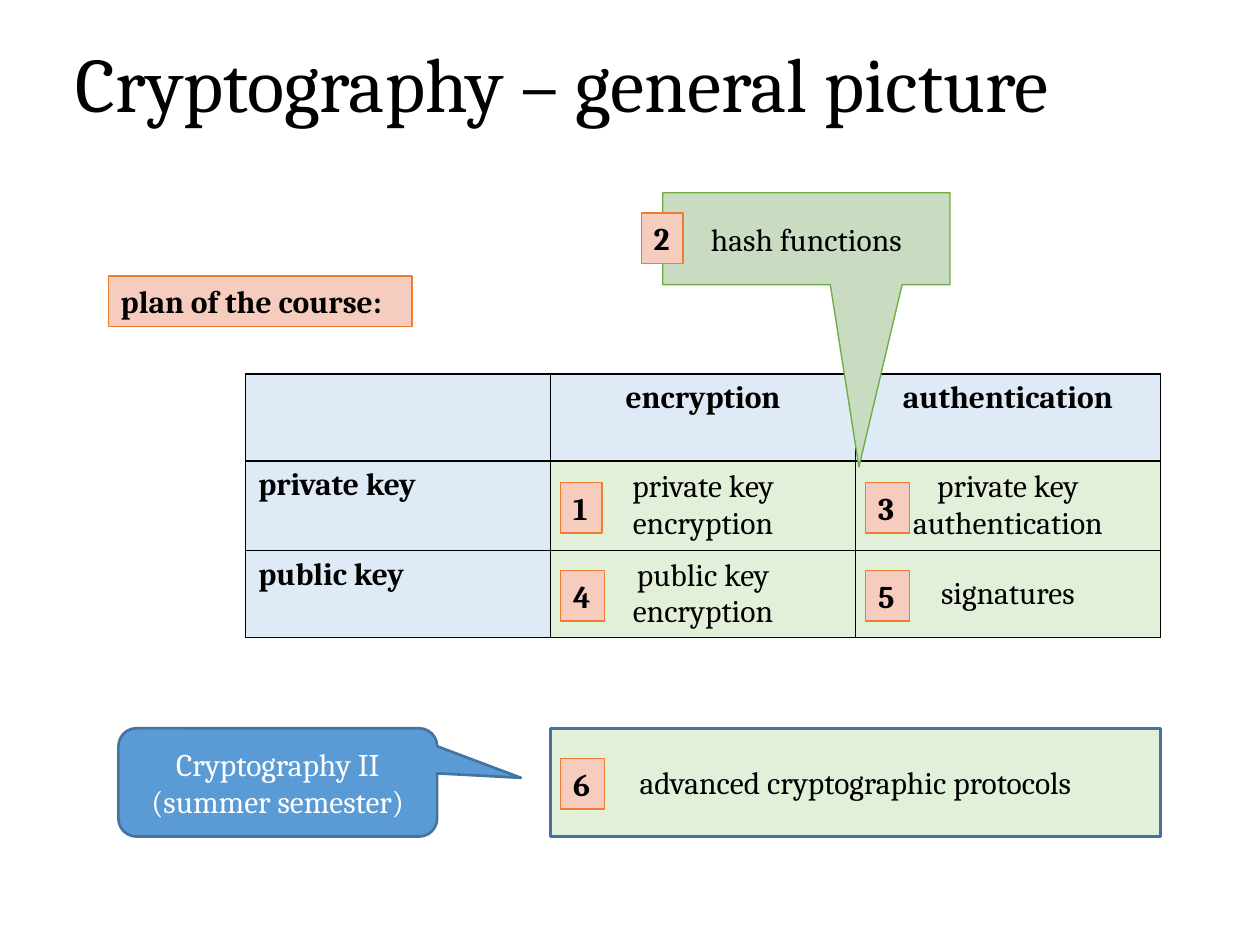
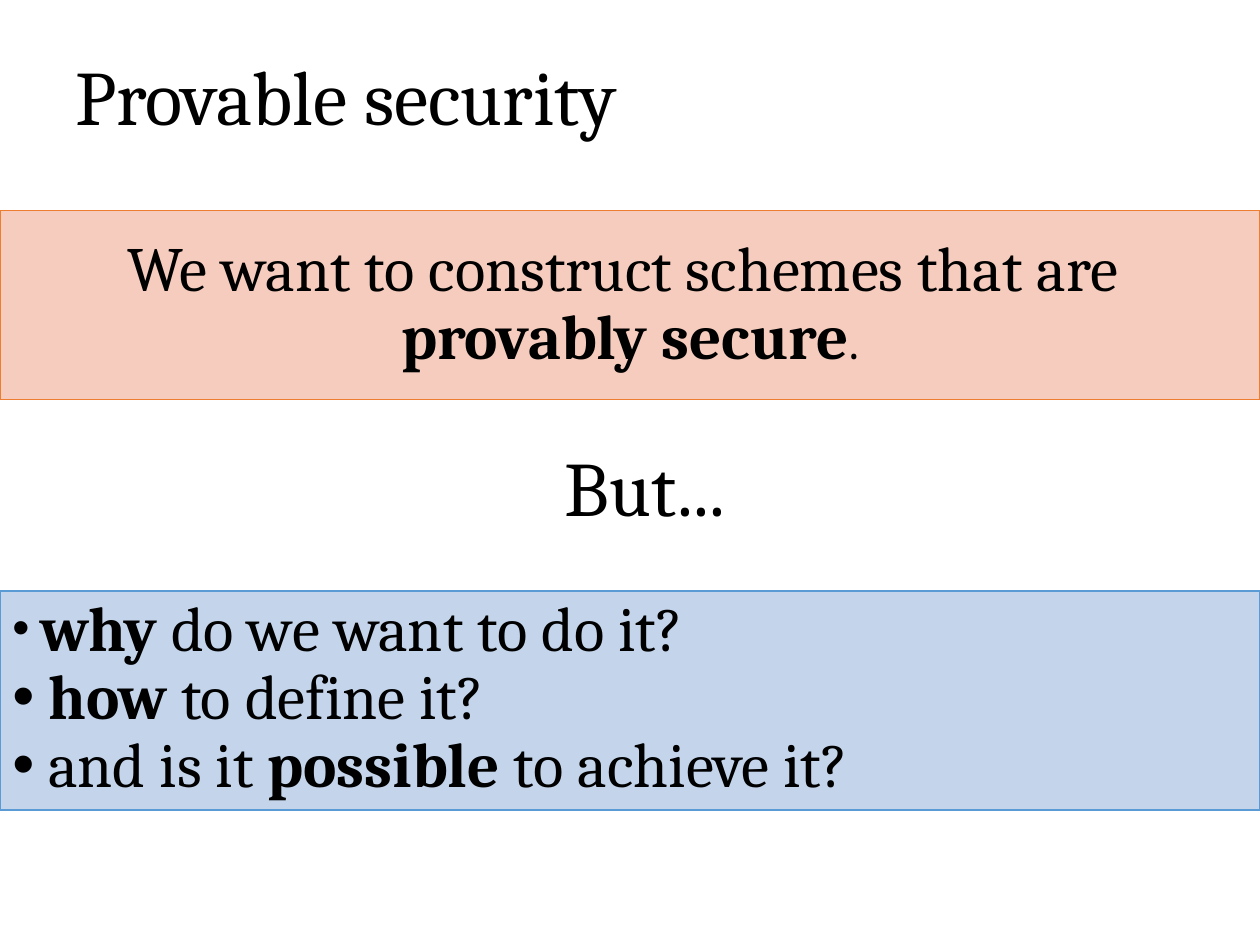
from pptx import Presentation
from pptx.dml.color import RGBColor
from pptx.enum.shapes import MSO_SHAPE
from pptx.enum.text import MSO_ANCHOR, MSO_AUTO_SIZE, PP_ALIGN
from pptx.oxml.ns import qn
from pptx.util import Inches, Pt
from lxml import etree

RECT = MSO_SHAPE.RECTANGLE
RECT_CALLOUT = MSO_SHAPE.RECTANGULAR_CALLOUT
ROUND_CALLOUT = MSO_SHAPE.ROUNDED_RECTANGULAR_CALLOUT
LEFT, CENTER = PP_ALIGN.LEFT, PP_ALIGN.CENTER
TOP, MIDDLE = MSO_ANCHOR.TOP, MSO_ANCHOR.MIDDLE
NO_FIT, GROW = MSO_AUTO_SIZE.NONE, MSO_AUTO_SIZE.SHAPE_TO_FIT_TEXT
TITLE_ONLY = 5

COLORS = {
    "text": "000000",
    "white": "FFFFFF",
    "header": "DEEBF7",
    "topic": "E2F0D9",
    "plan": "F6CCBE",
    "plan_line": "ED7D31",
    "hash": "C9DBC1",
    "hash_line": "70AD47",
    "blue": "5B9BD5",
    "blue_line": "43739E",
    "questions": "C4D5EB",
}
FONT = "Cambria"
THIN, THICK = 0.79, 1.5
BODY, LARGE, TITLE = 18, 36, 44

# Table geometry, also used to place the badges and the protocols box
TABLE_X, TABLE_Y = 1.95, 2.97
COL_W = 2.42
ROW_H = [0.69, 0.71, 0.69]


def rgb(name):
    return RGBColor.from_string(COLORS[name])


def box(x, y, w, h):
    return [Inches(v) for v in (x, y, w, h)]


# Text
def add_run(p, text, size=BODY, bold=False, color="text"):
    """Add a run; a newline in the text becomes a line break."""
    for i, line in enumerate(text.split("\n")):
        if i:
            p.add_line_break()
        r = p.add_run()
        r.text = line
        for name, value in {"name": FONT, "size": Pt(size), "bold": bold}.items():
            setattr(r.font, name, value)
        r.font.color.rgb = rgb(color)


def add_bullet(p):
    pPr = p._p.get_or_add_pPr()
    pPr.set("marL", "0")
    pPr.set("indent", "0")
    etree.SubElement(pPr, qn("a:buFont"), typeface="Arial")
    etree.SubElement(pPr, qn("a:buChar"), char="•")


def fill_text(tf, paragraphs, align=CENTER, spacing=None, bullets=False):
    """Write paragraphs, each a list of (text, format) runs."""
    for i, runs in enumerate(paragraphs):
        p = tf.add_paragraph() if i else tf.paragraphs[0]
        p.alignment = align
        if spacing:
            p.line_spacing = spacing
        if bullets:
            add_bullet(p)
        for text, fmt in runs:
            add_run(p, text, **fmt)


def set_frame(tf, **values):
    for name, value in values.items():
        setattr(tf, name, value)


# Slide elements
def add_slide(prs, title, y, h):
    s = prs.slides.add_slide(prs.slide_layouts[TITLE_ONLY])
    sp = s.shapes.title
    sp.left, sp.top, sp.width, sp.height = box(0.5, y, 9, h)
    set_frame(sp.text_frame, vertical_anchor=MIDDLE, auto_size=NO_FIT, word_wrap=True)
    fill_text(sp.text_frame, [[(title, {"size": TITLE})]], LEFT, 0.9)
    return s


def add_box(s, place, fill, line, width=THIN, kind=RECT, adjust=(),
            anchor=MIDDLE, wrap=True, fit=NO_FIT):
    sp = s.shapes.add_shape(kind, *box(*place))
    sp.shadow.inherit = False
    sp.fill.solid()
    sp.fill.fore_color.rgb = rgb(fill)
    sp.line.color.rgb = rgb(line)
    sp.line.width = Pt(width)
    for i, value in enumerate(adjust):
        sp.adjustments[i] = value
    set_frame(sp.text_frame, vertical_anchor=anchor, word_wrap=wrap, auto_size=fit)
    return sp.text_frame


def add_label(s, text, x, y, w, wrap=False):
    tf = add_box(s, (x, y, w, 0.4), "plan", "plan_line", anchor=TOP, wrap=wrap, fit=GROW)
    fill_text(tf, [[(text, {"bold": True})]], LEFT)


def set_borders(cell):
    tcPr = cell._tc.get_or_add_tcPr()
    for side in ("lnL", "lnR", "lnT", "lnB"):
        ln = etree.SubElement(tcPr, qn(f"a:{side}"), w=str(Pt(1)))
        fill = etree.SubElement(ln, qn("a:solidFill"))
        etree.SubElement(fill, qn("a:srgbClr"), val=COLORS["text"])


def add_topic_table(s, rows):
    n_cols = len(rows[0])
    place = box(TABLE_X, TABLE_Y, COL_W * n_cols, sum(ROW_H))
    table = s.shapes.add_table(len(rows), n_cols, *place).table
    for col in table.columns:
        col.width = Inches(COL_W)
    for i, row in enumerate(rows):
        table.rows[i].height = Inches(ROW_H[i])
        for j, text in enumerate(row):
            cell = table.cell(i, j)
            header = i == 0 or j == 0
            set_borders(cell)
            cell.fill.solid()
            cell.fill.fore_color.rgb = rgb("header" if header else "topic")
            cell.vertical_anchor = TOP if header else MIDDLE
            if text:
                fill_text(cell.text_frame, [[(text, {"bold": header})]],
                          CENTER if j else LEFT)


# Slides
def build_general_picture(prs):
    s = add_slide(prs, "Cryptography – general picture", 0.3, 0.79)
    add_topic_table(s, [
        ["", "encryption", "authentication"],
        ["private key", "private key encryption", "private key authentication"],
        ["public key", "public key\nencryption", "signatures"],
    ])

    # Advanced topic below the table, under its last two columns
    tf = add_box(s, (TABLE_X + COL_W, 5.78, 2 * COL_W, 0.86), "topic", "blue_line", THICK)
    fill_text(tf, [[("advanced cryptographic protocols", {})]])

    # Course plan and its numbered badges
    add_label(s, "plan of the course:", 0.86, 2.19, 2.41, wrap=True)
    badge_x = [TABLE_X + COL_W * col + 0.08 for col in (1, 2)]
    for number, col, y, w in [("1", 0, 3.83, 0.33), ("3", 1, 3.83, 0.35),
                              ("4", 0, 4.53, 0.35), ("5", 1, 4.53, 0.35),
                              ("6", 0, 6.02, 0.35)]:
        add_label(s, number, badge_x[col], y, w)

    # Callouts
    tf = add_box(s, (5.26, 1.53, 2.28, 0.73), "hash", "hash_line",
                 kind=RECT_CALLOUT, adjust=(0.183, 2.482))
    fill_text(tf, [[("hash functions", {})]])
    add_label(s, "2", 5.09, 1.69, 0.33)
    tf = add_box(s, (0.94, 5.78, 2.53, 0.86), "blue", "blue_line", THICK,
                 kind=ROUND_CALLOUT, adjust=(0.763, -0.042, 0.167))
    fill_text(tf, [[("Cryptography II (summer semester)", {"color": "white"})]])


def build_provable_security(prs):
    s = add_slide(prs, "Provable security", 0.17, 1.25)
    plain = {"size": LARGE}
    strong = {"size": LARGE, "bold": True}
    small = {"size": 28}

    # Goal band
    tf = add_box(s, (0, 1.67, 10, 1.5), "plan", "plan_line", wrap=False)
    fill_text(tf, [
        [("We want to construct schemes that are ", plain)],
        [("provably secure", strong), (".", small)],
    ], spacing=0.9)

    # Turning point
    tf = s.shapes.add_textbox(*box(1.02, 3.52, 8.2, 0.78)).text_frame
    tf.word_wrap = True
    fill_text(tf, [[("But...", {"size": TITLE})]], spacing=0.9)

    # Questions band
    tf = add_box(s, (0, 4.69, 10, 1.74), "questions", "blue", anchor=TOP, fit=GROW)
    fill_text(tf, [
        [(" ", {"size": 28, "bold": True}), ("why", strong), (" do we want to do it?", plain)],
        [(" how ", strong), ("to define it?", plain)],
        [(" and is it ", plain), ("possible ", strong), ("to achieve it?", plain)],
    ], LEFT, 0.9, bullets=True)


def main():
    prs = Presentation()
    prs.slide_width, prs.slide_height = Inches(10), Inches(7.5)
    build_general_picture(prs)
    build_provable_security(prs)
    prs.save("out.pptx")


if __name__ == "__main__":
    main()
